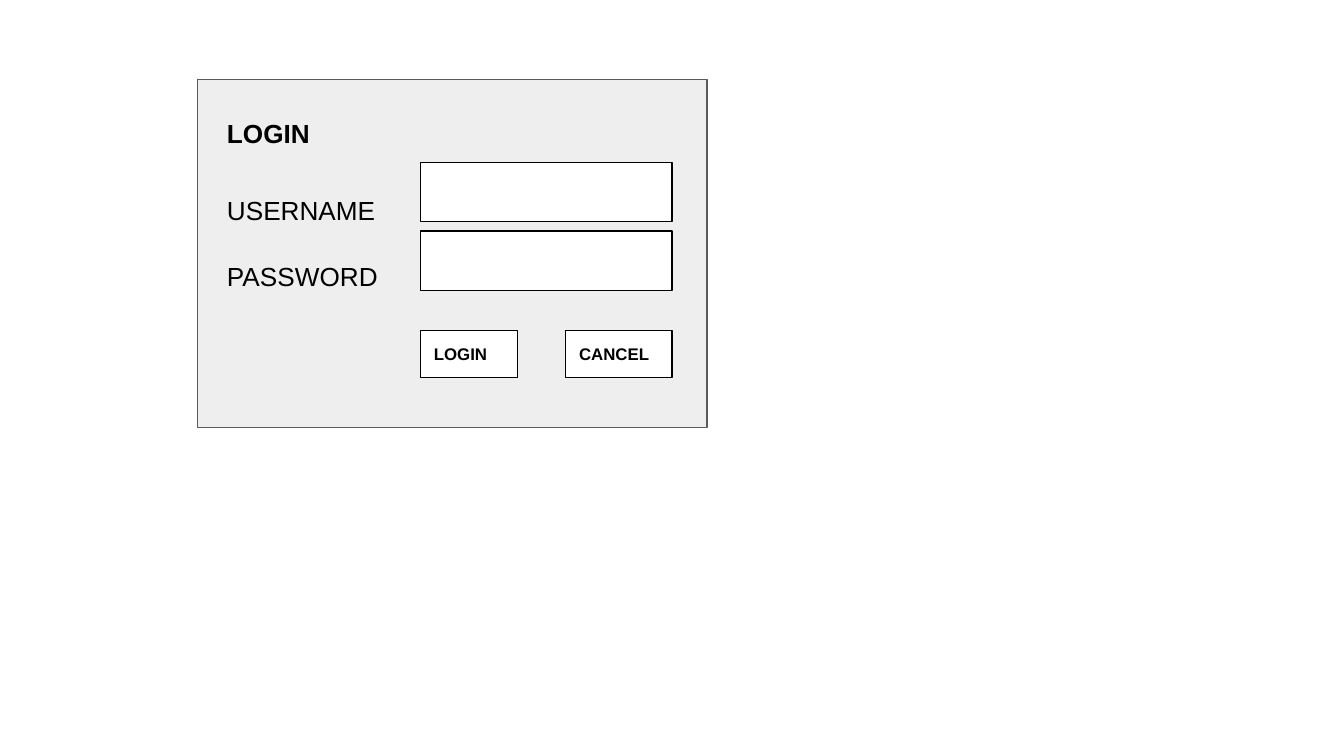
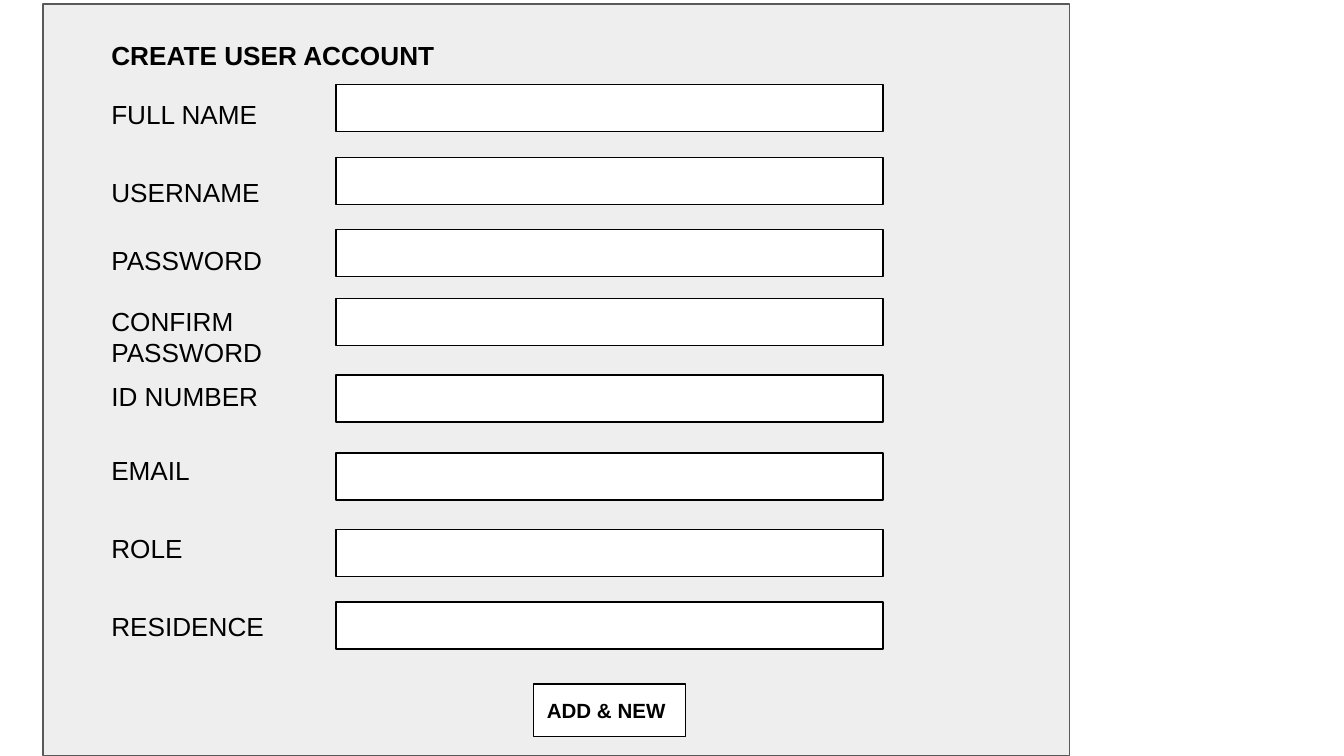
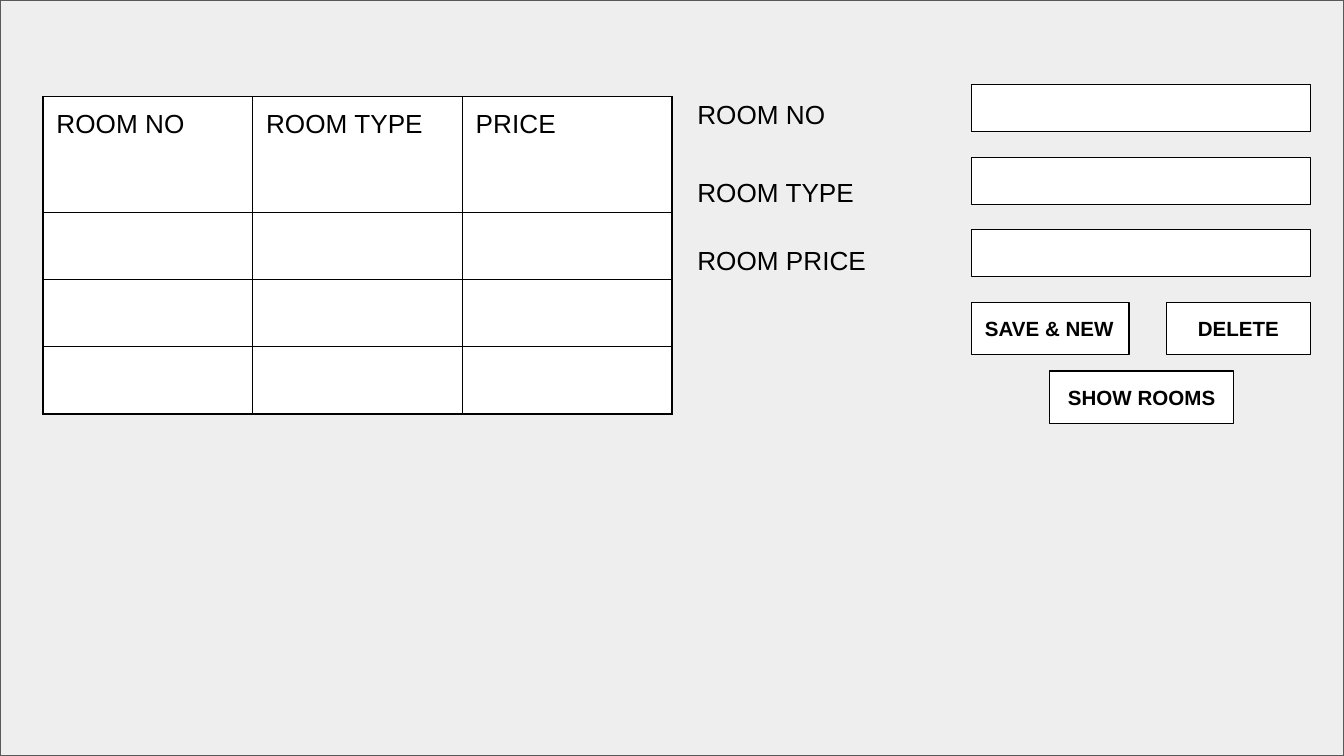
import dataclasses

import pptx
import pptx.dml.color
import pptx.enum.shapes
import pptx.enum.text
import pptx.oxml
import pptx.oxml.ns
import pptx.util
from pptx.util import Inches

FONT = "Arial"
BLACK, WHITE, PANEL, EDGE = "000000", "FFFFFF", "EEEEEE", "595959"
LINE = pptx.util.Pt(0.75)
PAD = Inches(0.1)
WIDE = Inches(10)
HIGH = WIDE * 9 // 16
LABEL_HIGH = 0.44
LEFT = pptx.enum.text.PP_ALIGN.LEFT
CENTER = pptx.enum.text.PP_ALIGN.CENTER


@dataclasses.dataclass
class Row:
    label: str
    label_top: float
    field_top: float
    label_high: float = LABEL_HIGH


@dataclasses.dataclass
class Button:
    text: str
    left: float
    top: float
    width: float
    height: float = 0.39
    size: int = 11
    align: int = LEFT


@dataclasses.dataclass
class Form:
    """Rows of labels and entry fields, sharing one column for each."""
    label_left: float
    label_wide: float
    field_left: float
    field_wide: float
    field_high: float
    rows: list[Row]
    buttons: list[Button]


LOGIN = Form(
    1.59, 1.54, 3.13, 1.87, 0.44,
    [Row("USERNAME", 1.35, 1.21), Row("PASSWORD", 1.84, 1.72)],
    [Button("LOGIN", 3.13, 2.46, 0.72, 0.35, 9),
     Button("CANCEL", 4.21, 2.46, 0.79, 0.35, 9)],
)
ACCOUNT = Form(
    0.73, 1.54, 2.5, 4.07, 0.35,
    [Row("FULL NAME", 0.63, 0.63),
     Row("USERNAME", 1.21, 1.17),
     Row("PASSWORD", 1.72, 1.71),
     Row("CONFIRM PASSWORD", 2.17, 2.22, 0.67),
     Row("ID NUMBER", 2.73, 2.79),
     Row("EMAIL", 3.28, 3.37),
     Row("ROLE", 3.86, 3.94),
     Row("RESIDENCE", 4.44, 4.48)],
    [Button("ADD & NEW", 3.97, 5.09, 1.13)],
)
ROOMS = Form(
    5.09, 1.87, 7.23, 2.52, 0.35,
    [Row("ROOM NO", 0.63, 0.63),
     Row("ROOM TYPE", 1.21, 1.17),
     Row("ROOM PRICE", 1.72, 1.71)],
    [Button("SAVE & NEW", 7.23, 2.25, 1.17),
     Button("DELETE", 8.68, 2.25, 1.07, align=CENTER),
     Button("SHOW ROOMS", 7.81, 2.76, 1.37, align=CENTER)],
)


def color(code: str) -> pptx.dml.color.RGBColor:
    return pptx.dml.color.RGBColor.from_string(code)


def write(frame, text: str, size: int = 14, bold: bool = False,
          align: int = LEFT) -> None:
    frame.word_wrap = True
    frame.margin_left = frame.margin_right = PAD
    frame.margin_top = frame.margin_bottom = PAD
    frame.text = text
    for para in frame.paragraphs:
        para.alignment = align
        for run in para.runs:
            run.font.name = FONT
            run.font.size = pptx.util.Pt(size)
            run.font.bold = bold
            run.font.color.rgb = color(BLACK)


def add_box(slide, left: int, top: int, width: int, height: int,
            fill: str = WHITE, line: str = BLACK):
    box = slide.shapes.add_shape(
        pptx.enum.shapes.MSO_SHAPE.RECTANGLE, left, top, width, height)
    box.shadow.inherit = False
    box.fill.solid()
    box.fill.fore_color.rgb = color(fill)
    box.line.color.rgb = color(line)
    box.line.width = LINE
    return box


def add_panel(slide, left: int, top: int, width: int, height: int) -> None:
    add_box(slide, left, top, width, height, PANEL, EDGE)


def add_label(slide, text: str, left: float, top: float, width: float,
              height: float = LABEL_HIGH, bold: bool = False) -> None:
    label = slide.shapes.add_textbox(
        Inches(left), Inches(top), Inches(width), Inches(height))
    write(label.text_frame, text, bold=bold)


def add_form(slide, form: Form) -> None:
    for row in form.rows:
        add_label(slide, row.label, form.label_left, row.label_top,
                  form.label_wide, row.label_high)
        add_box(slide, Inches(form.field_left), Inches(row.field_top),
                Inches(form.field_wide), Inches(form.field_high))
    for item in form.buttons:
        box = add_box(slide, Inches(item.left), Inches(item.top),
                      Inches(item.width), Inches(item.height))
        write(box.text_frame, item.text, item.size, True, item.align)


def style_cell(cell) -> None:
    """Give the cell a white fill and a thin black border on each side."""
    props = cell._tc.get_or_add_tcPr()
    space = pptx.oxml.ns.nsdecls("a")
    for side in ("lnL", "lnR", "lnT", "lnB"):
        props.append(pptx.oxml.parse_xml(
            f'<a:{side} {space} w="{LINE}"><a:solidFill>'
            f'<a:srgbClr val="{BLACK}"/></a:solidFill></a:{side}>'))
    cell.fill.solid()
    cell.fill.fore_color.rgb = color(WHITE)


def add_table(slide, heads: list[str], blanks: int) -> None:
    col_wide, head_high, row_high = Inches(1.56), Inches(0.86), Inches(0.5)
    table = slide.shapes.add_table(
        blanks + 1, len(heads), Inches(0.32), Inches(0.72),
        col_wide * len(heads), head_high + row_high * blanks).table
    table.first_row = table.horz_banding = False
    for col in table.columns:
        col.width = col_wide
    for row in table.rows:
        row.height = row_high
    table.rows[0].height = head_high
    for cell in table.iter_cells():
        style_cell(cell)
    for cell, head in zip(table.rows[0].cells, heads):
        cell.margin_left = cell.margin_right = PAD
        cell.margin_top = cell.margin_bottom = PAD
        write(cell.text_frame, head)


def main() -> None:
    deck = pptx.Presentation()
    deck.slide_width, deck.slide_height = WIDE, HIGH
    blank = deck.slide_layouts[6]

    slide = deck.slides.add_slide(blank)
    add_panel(slide, Inches(1.47), Inches(0.59), Inches(3.79), Inches(2.59))
    add_label(slide, "LOGIN", 1.59, 0.77, 0.95, bold=True)
    add_form(slide, LOGIN)

    slide = deck.slides.add_slide(blank)
    add_panel(slide, Inches(0.32), Inches(0.03), Inches(7.64), Inches(5.59))
    add_label(slide, "CREATE USER ACCOUNT", 0.73, 0.19, 3.25, bold=True)
    add_form(slide, ACCOUNT)

    slide = deck.slides.add_slide(blank)
    add_panel(slide, 0, 0, WIDE, HIGH)
    add_form(slide, ROOMS)
    add_table(slide, ["ROOM NO", "ROOM TYPE", "PRICE"], 3)

    deck.save("out.pptx")


if __name__ == "__main__":
    main()
